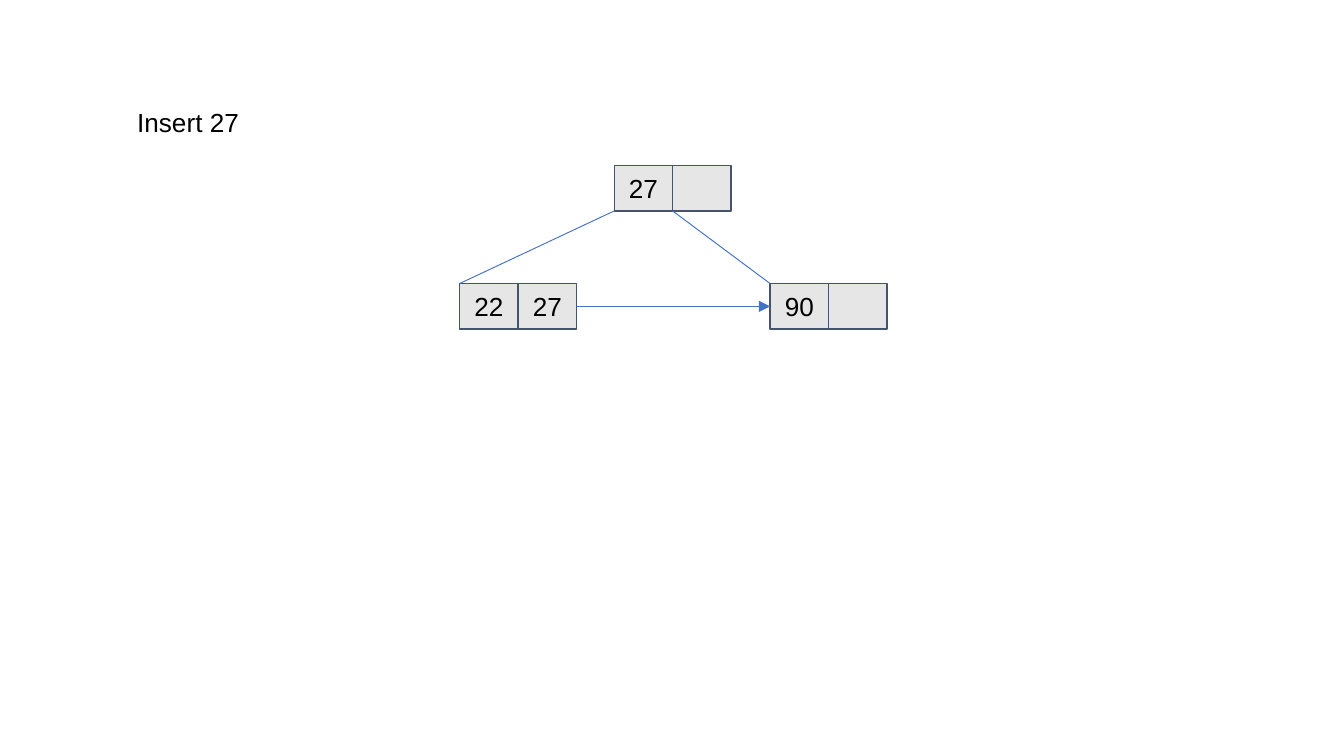
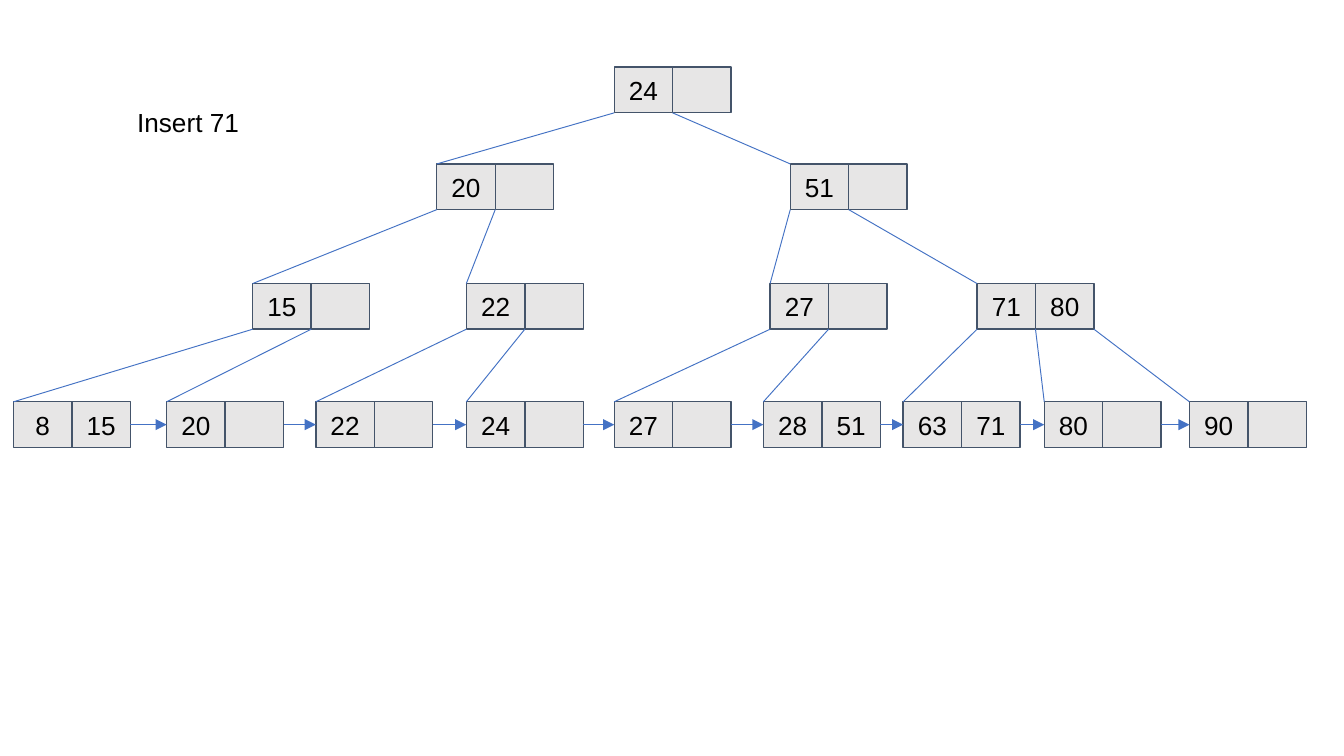
from itertools import pairwise

from lxml.etree import SubElement
from pptx import Presentation
from pptx.dml.color import RGBColor
from pptx.enum.shapes import MSO_CONNECTOR as CONNECTOR, MSO_SHAPE as SHAPE
from pptx.enum.text import MSO_ANCHOR as ANCHOR, MSO_AUTO_SIZE as AUTO_SIZE, PP_ALIGN as ALIGN
from pptx.oxml.ns import qn
from pptx.util import Inches, Pt

COLORS = {"cell": "E7E6E6", "border": "44546A", "link": "4472C4", "text": "000000"}
FONT = "Arial"
TITLE_ONLY = 5
SLIDE_W = 10
SLIDE_H = SLIDE_W * 9 / 16
NODE_SLOTS = 2
CELL_W = 0.87 / NODE_SLOTS
CELL_H = 0.34
LEFT, RIGHT = 1, 3  # connection sites of a rectangle

# Each level: top, then its nodes from left to right as (left, keys).
# A node with n keys has the next n + 1 nodes of the level below as children.
TREES = {
    "Insert 27": [
        (1.23, [(4.57, [27])]),
        (2.11, [(3.42, [22, 27]), (5.73, [90])]),
    ],
    "Insert 71": [
        (0.5, [(4.57, [24])]),
        (1.22, [(3.25, [20]), (5.88, [51])]),
        (2.11, [(1.88, [15]), (3.47, [22]), (5.73, [27]), (7.27, [71, 80])]),
        (2.99, [(0.1, [8, 15]), (1.24, [20]), (2.35, [22]), (3.47, [24]), (4.57, [27]),
                (5.68, [28, 51]), (6.72, [63, 71]), (7.77, [80]), (8.85, [90])]),
    ],
}


def rgb(name):
    return RGBColor.from_string(COLORS[name])


def write(frame, text, size=14, color="text", align=ALIGN.LEFT, anchor=ANCHOR.TOP,
          wrap=True, margin=None):
    frame.word_wrap = wrap
    frame.vertical_anchor = anchor
    if margin is not None:
        frame.margin_left = frame.margin_right = Inches(margin)
        frame.margin_top = frame.margin_bottom = Inches(margin)
    paragraph = frame.paragraphs[0]
    paragraph.alignment = align
    run = paragraph.add_run()
    run.text = text
    run.font.name = FONT
    run.font.size = Pt(size)
    run.font.color.rgb = rgb(color)


def add_title(slide, text):
    title = slide.shapes.title
    title.left, title.top = Inches(0.92), Inches(0.74)
    title.width, title.height = Inches(0.96), Inches(0.34)
    write(title.text_frame, text, wrap=False)
    title.text_frame.auto_size = AUTO_SIZE.SHAPE_TO_FIT_TEXT


def add_cell(slide, left, top, key=None):
    cell = slide.shapes.add_shape(SHAPE.RECTANGLE, Inches(left), Inches(top),
                                  Inches(CELL_W), Inches(CELL_H))
    cell.shadow.inherit = False
    cell.fill.solid()
    cell.fill.fore_color.rgb = rgb("cell")
    cell.line.color.rgb = rgb("border")
    cell.line.width = Pt(0.75)
    if key is not None:
        write(cell.text_frame, str(key), align=ALIGN.CENTER, anchor=ANCHOR.MIDDLE, margin=0.1)
    return cell


def add_node(slide, left, top, keys):
    slots = keys + [None] * (NODE_SLOTS - len(keys))
    return [add_cell(slide, left + i * CELL_W, top, key) for i, key in enumerate(slots)]


def add_link(slide, start=(0, 0), end=(0, 0)):
    points = [Inches(value) for value in (*start, *end)]
    link = slide.shapes.add_connector(CONNECTOR.STRAIGHT, *points)
    link.line.color.rgb = rgb("link")
    link.line.width = Pt(0.5)
    SubElement(link._element.spPr, qn("a:effectLst"))
    return link


def add_leaf_arrow(slide, leaf, next_leaf):
    arrow = add_link(slide)
    arrow.begin_connect(leaf[-1], RIGHT)
    arrow.end_connect(next_leaf[0], LEFT)
    SubElement(arrow.line._get_or_add_ln(), qn("a:tailEnd"), type="triangle")


def add_branches(slide, level, level_below):
    top, parents = level
    child_top, children = level_below
    child_lefts = iter([left for left, _ in children])
    for left, keys in parents:
        for slot in range(len(keys) + 1):
            add_link(slide, (left + slot * CELL_W, top + CELL_H), (next(child_lefts), child_top))


def add_tree(slide, levels):
    # Nodes; the last level keeps the leaves
    for top, nodes in levels:
        leaves = [add_node(slide, left, top, keys) for left, keys in nodes]
    # Parent to child lines
    for level, level_below in pairwise(levels):
        add_branches(slide, level, level_below)
    # Chain of leaves
    for leaf, next_leaf in pairwise(leaves):
        add_leaf_arrow(slide, leaf, next_leaf)


def main():
    prs = Presentation()
    prs.slide_width, prs.slide_height = Inches(SLIDE_W), Inches(SLIDE_H)
    for heading, levels in TREES.items():
        slide = prs.slides.add_slide(prs.slide_layouts[TITLE_ONLY])
        add_title(slide, heading)
        add_tree(slide, levels)
    prs.save("out.pptx")


if __name__ == "__main__":
    main()
